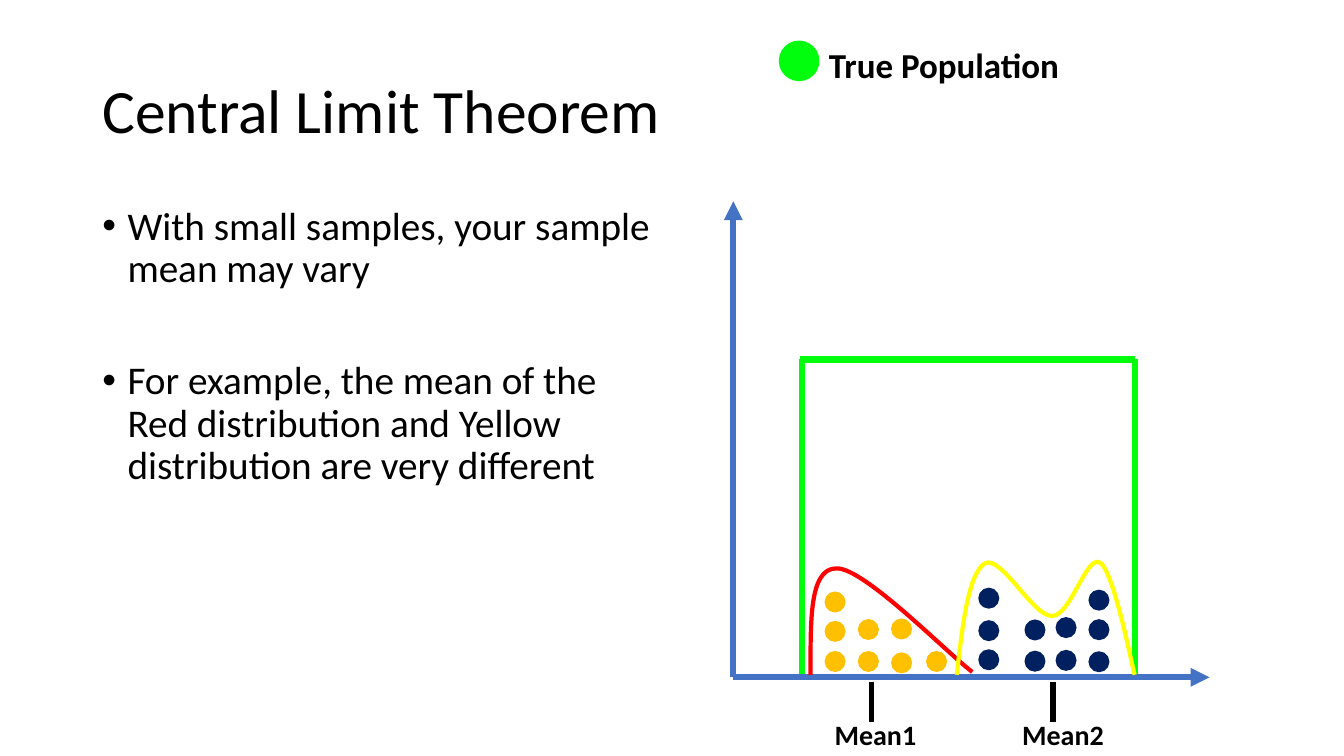
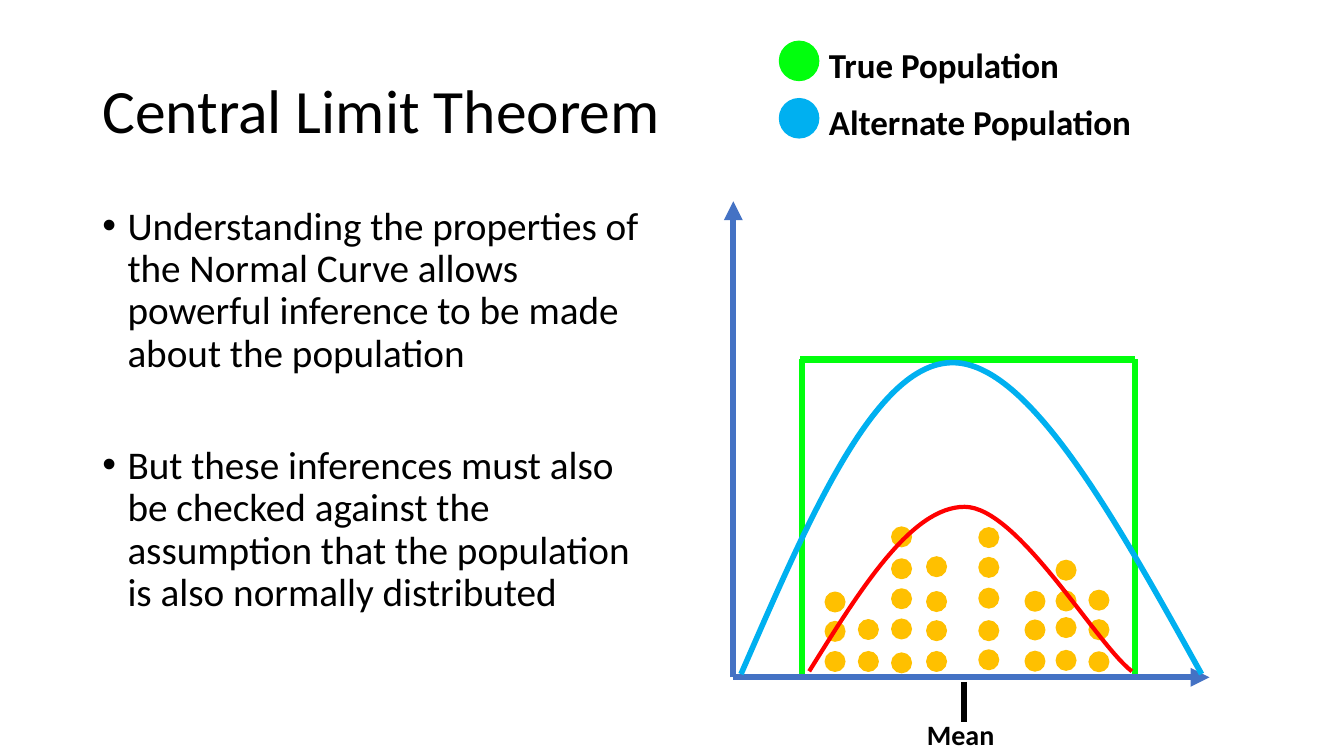
"""Build two slides that illustrate the central limit theorem with dot plots and curves."""
from dataclasses import dataclass

from lxml import etree
from pptx import Presentation, util as u
from pptx.dml.color import RGBColor
from pptx.enum import shapes, text
from pptx.oxml.ns import qn


@dataclass(frozen=True)
class Theme:
    font: str = "Calibri"
    black: str = "000000"
    axis: str = "4472C4"
    green: str = "01FF0D"
    blue: str = "00B0F0"
    gold: str = "FFC000"
    navy: str = "002060"
    red: str = "FF0000"
    yellow: str = "FFFF00"
    title: float = 44
    body: float = 28
    legend: float = 25
    label: float = 20


THEME = Theme()
LEFT, TOP, BASE, RIGHT = 523.8, 143.8, 483.8, 864
BOX_LEFT, BOX_TOP, BOX_RIGHT = 572.8, 256.7, 810.5
DOT, LEGEND_DOT, LEGEND_STEP = 14, 28, 41

DOT_COLUMNS = [
    (596.5, [472.5, 451, 430]),
    (620.3, [472.5, 449.7]),
    (644, [473.5, 449.3, 427.7, 406.3, 383.5]),
    (669, [472.5, 450.5, 429.7, 404.8]),
    (706.3, [471.3, 450.5, 427.3, 405.3, 384]),
    (739.3, [472.3, 450, 429.5]),
    (761.5, [471.7, 448.3, 429.3, 407.3]),
    (785, [472.7, 449.8, 428.7]),
]

SLIDES = [
    {
        "bullets": [
            "With small samples, your sample mean may vary",
            "For example, the mean of the Red distribution and Yellow "
            "distribution are very different",
        ],
        "legend": [("True Population", THEME.green, 181)],
        "dot_counts": [3, 2, 2, 1, 3, 2, 2, 3],
        "dot_colors": [THEME.gold] * 4 + [THEME.navy] * 4,
        "means": [("Mean1", 622.5, 589, 73.5), ("Mean2", 752, 723, 73.5)],
        "curves": [
            (THEME.red, 3, [(579, 482), (579, 443.5), (578, 406), (597.5, 406),
                            (617, 405.5), (674.5, 464.5), (694.5, 480)]),
            (THEME.yellow, 3, [(683.5, 482), (687.5, 445.5), (692, 409.5), (703.5, 402.5),
                               (715, 396), (738, 440.5), (751.5, 440),
                               (765, 440), (776, 395.5), (786, 402),
                               (795.5, 409), (807, 468), (810.5, 482)]),
        ],
    },
    {
        "bullets": [
            "Understanding the properties of the Normal Curve allows powerful "
            "inference to be made about the population",
            "But these inferences must also be checked against the assumption "
            "that the population is also normally distributed",
        ],
        "legend": [("True Population", THEME.green, 181),
                   ("Alternate Population", THEME.blue, 232.5)],
        "dot_counts": [len(heights) for _, heights in DOT_COLUMNS],
        "dot_colors": [THEME.gold] * 8,
        "means": [("Mean", 688.5, 655, 63.5)],
        "curves": [
            (THEME.red, 3, [(578, 479.5), (614.5, 421), (651, 362), (689, 362),
                            (727, 362), (782.5, 459.5), (808.5, 479.5)]),
            (THEME.blue, 4, [(529.3, 481.5), (577.5, 371), (625, 259), (680.5, 259),
                             (735, 259), (797, 371), (858.3, 481.5)]),
        ],
    },
]


def add_text(slide, box, lines, size, frame_format, bold=False, line_spacing=None):
    """Add a text box with one paragraph for each line and return its paragraphs."""
    frame = slide.shapes.add_textbox(*map(u.Pt, box)).text_frame
    for name, value in frame_format.items():
        setattr(frame, name, value)
    frame.text = "\n".join(lines)
    for paragraph in frame.paragraphs:
        paragraph.line_spacing = line_spacing
        font = paragraph.runs[0].font
        for name, value in {"name": THEME.font, "size": u.Pt(size), "bold": bold}.items():
            setattr(font, name, value)
        font.color.rgb = RGBColor.from_string(THEME.black)
    return frame.paragraphs


def add_line(slide, ends, color, width, arrow=False):
    """Add a straight connector, with an arrowhead at its far end if asked."""
    connector = slide.shapes.add_connector(shapes.MSO_CONNECTOR.STRAIGHT, *map(u.Pt, ends))
    connector.line.color.rgb = RGBColor.from_string(color)
    connector.line.width = u.Pt(width)
    properties = connector._element.spPr
    if arrow:
        etree.SubElement(properties.find(qn("a:ln")), qn("a:tailEnd"), type="triangle")
    etree.SubElement(properties, qn("a:effectLst"))


presentation = Presentation()
presentation.slide_width, presentation.slide_height = u.Pt(960), u.Pt(540)
label_format = {"word_wrap": False, "auto_size": text.MSO_AUTO_SIZE.SHAPE_TO_FIT_TEXT}

for content in SLIDES:
    slide = presentation.slides.add_slide(presentation.slide_layouts[6])
    add_text(slide, (66, 28.75, 828, 104.4), ["Central Limit Theorem"], THEME.title,
             {"word_wrap": True, "vertical_anchor": text.MSO_ANCHOR.MIDDLE}, line_spacing=0.9)

    bullets = add_text(slide, (66, 143.75, 408, 342.6), content["bullets"], THEME.body,
                       {"word_wrap": True}, line_spacing=0.9)
    for paragraph, gap in zip(bullets, (10, 50)):
        paragraph.space_before = u.Pt(gap)
        properties = paragraph._p.get_or_add_pPr()
        properties.set("marL", str(u.Pt(18)))
        properties.set("indent", str(u.Pt(-18)))
        etree.SubElement(properties, qn("a:buFont"), typeface="Arial")
        etree.SubElement(properties, qn("a:buChar"), char="•")

    for ends in ((BOX_LEFT, BOX_TOP, BOX_LEFT, BASE), (BOX_RIGHT, BOX_TOP, BOX_RIGHT, BASE),
                 (BOX_RIGHT, BOX_TOP, BOX_LEFT - 1, BOX_TOP)):
        add_line(slide, ends, THEME.green, 4.5)
    for end in ((LEFT, TOP), (RIGHT, BASE)):
        add_line(slide, (LEFT, BASE, *end), THEME.axis, 4.5, arrow=True)

    circles = [
        (x - DOT / 2, y - DOT / 2, DOT, color)
        for (x, heights), count, color in zip(
            DOT_COLUMNS, content["dot_counts"], content["dot_colors"])
        for y in heights[:count]
    ]
    for row, (name, color, width) in enumerate(content["legend"]):
        circles.append((556.8, 29.5 + row * LEGEND_STEP, LEGEND_DOT, color))
        add_text(slide, (585, 27.5 + row * LEGEND_STEP, width, 37), [name],
                 THEME.legend, label_format, bold=True)
    for x, y, size, color in circles:
        circle = slide.shapes.add_shape(shapes.MSO_SHAPE.OVAL, *map(u.Pt, (x, y, size, size)))
        circle.shadow.inherit = False
        circle.fill.solid()
        circle.fill.fore_color.rgb = RGBColor.from_string(color)
        circle.line.color.rgb = RGBColor.from_string(color)
        circle.line.width = u.Pt(1)

    for name, x, label_left, width in content["means"]:
        add_line(slide, (x, 487, x, 515.5), THEME.black, 4)
        add_text(slide, (label_left, 509.2, width, 31.5), [name],
                 THEME.label, label_format, bold=True)

    for color, width, controls in content["curves"]:
        start, *others = [tuple(map(u.Pt, point)) for point in controls]
        builder = slide.shapes.build_freeform(*start)
        builder.add_line_segments(others, close=False)
        curve = builder.convert_to_shape()
        segments = list(curve._element.iter(qn("a:lnTo")))
        for first in range(0, len(segments), 3):
            bezier = etree.Element(qn("a:cubicBezTo"))
            segments[first].addprevious(bezier)
            for segment in segments[first:first + 3]:
                bezier.append(segment[0])
                segment.getparent().remove(segment)
        curve.shadow.inherit = False
        curve.fill.background()
        curve.line.color.rgb = RGBColor.from_string(color)
        curve.line.width = u.Pt(width)

presentation.save("out.pptx")
